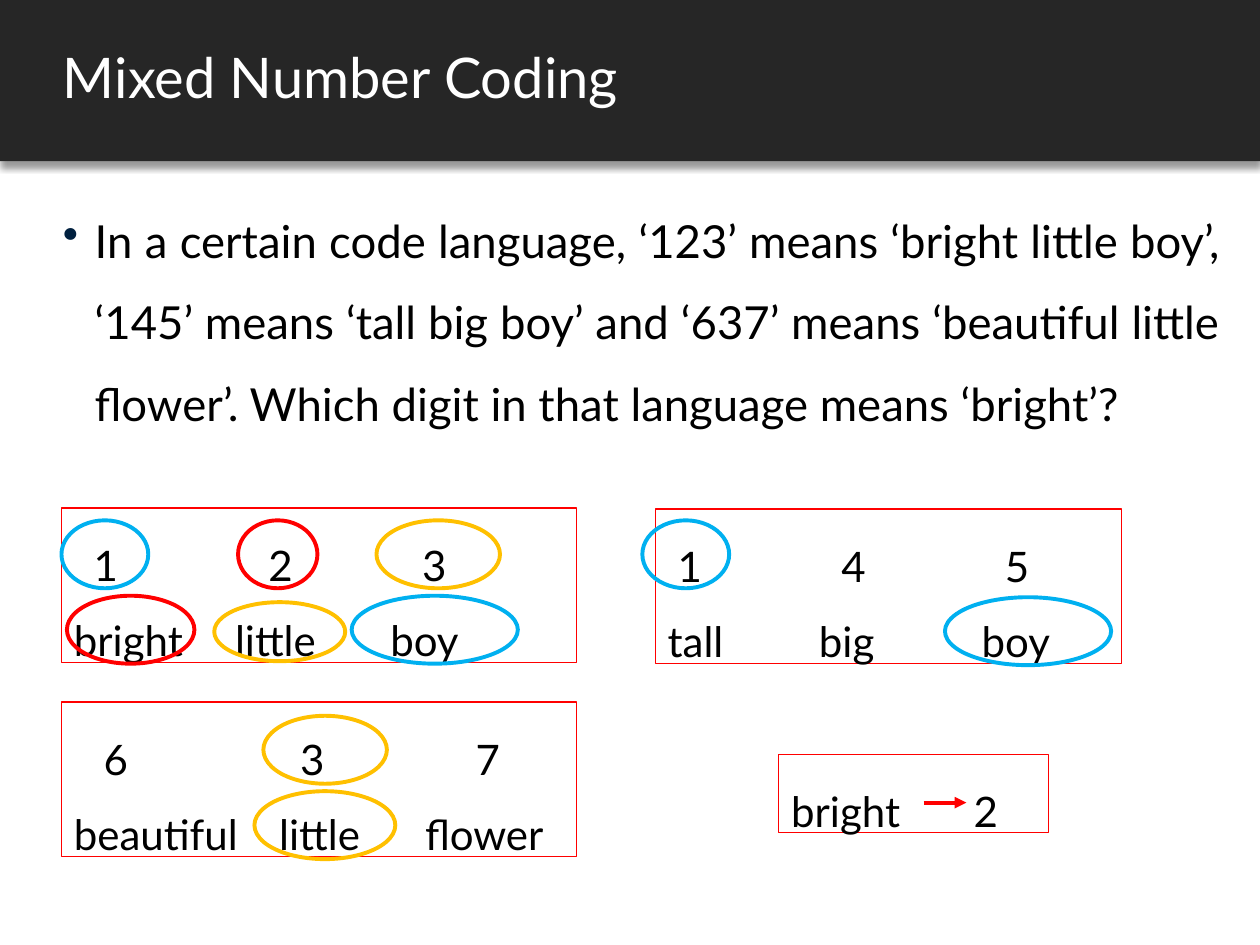
from lxml import etree
from pptx import Presentation
from pptx.dml.color import RGBColor
from pptx.enum.shapes import MSO_CONNECTOR, MSO_SHAPE
from pptx.enum.text import MSO_ANCHOR, PP_ALIGN
from pptx.oxml.ns import qn
from pptx.util import Cm, Pt

RECT, OVAL = MSO_SHAPE.RECTANGLE, MSO_SHAPE.OVAL
LINE = MSO_CONNECTOR.STRAIGHT
TOP, MIDDLE = MSO_ANCHOR.TOP, MSO_ANCHOR.MIDDLE
LEFT, JUSTIFY = PP_ALIGN.LEFT, PP_ALIGN.JUSTIFY

FONT = "Lato"
DARK, WHITE, BLACK, NAVY = "262626", "FFFFFF", "000000", "00203F"
RED, BLUE, GOLD = "FF0000", "00B0F0", "FFC000"


def color(code):
    return RGBColor.from_string(code)


def node(parent, tag, **attrs):
    item = etree.SubElement(parent, qn(tag))
    for key, value in attrs.items():
        item.set(key, str(value))
    return item


def write(frame, text, row=0, size=24, tint=BLACK, align=JUSTIFY,
          space=1.5, after=0, tabs=(), bullet=None, indent=0):
    """Fill paragraph number row of a text frame."""
    para = frame.paragraphs[0] if row == 0 else frame.add_paragraph()
    props = para._p.get_or_add_pPr()
    if bullet:
        props.set("marL", str(Cm(indent)))
        props.set("indent", str(-Cm(indent)))
        node(node(props, "a:buClr"), "a:srgbClr", val=bullet)
        node(props, "a:buChar", char="•")
    if tabs:
        stops = node(props, "a:tabLst")
        for stop in tabs:
            node(stops, "a:tab", pos=Cm(stop), algn="l")
    para.alignment = align
    para.line_spacing = space
    para.space_after = Pt(after)
    run = para.add_run()
    run.text = text
    run.font.name = FONT
    run.font.size = Pt(size)
    run.font.color.rgb = color(tint)


class Page:
    def __init__(self, slide):
        self.slide = slide
        self.thin, self.thick = 0.75, 2.25

    def shape(self, kind, x, y, w, h, fill=None, line=None, width=0):
        item = self.slide.shapes.add_shape(kind, Cm(x), Cm(y), Cm(w), Cm(h))
        item.shadow.inherit = False
        if fill:
            item.fill.solid()
            item.fill.fore_color.rgb = color(fill)
        else:
            item.fill.background()
        if line:
            item.line.color.rgb = color(line)
            item.line.width = Pt(width)
        else:
            item.line.fill.background()
        return item

    def band(self, w, h):
        bar = self.shape(RECT, 0, 0, w, h, fill=DARK)
        effects = bar._element.spPr.find(qn("a:effectLst"))
        shade = node(effects, "a:outerShdw", blurRad=Pt(4), dist=Pt(3),
                     dir=90 * 60000, algn="t", rotWithShape=0)
        node(node(shade, "a:srgbClr", val=BLACK), "a:alpha", val=40000)

    def label(self, text, x, y, w, h, anchor=TOP, **style):
        frame = self.slide.shapes.add_textbox(
            Cm(x), Cm(y), Cm(w), Cm(h)).text_frame
        frame.word_wrap = True
        frame.vertical_anchor = anchor
        write(frame, text, **style)

    def code(self, x, y, w, h, rows):
        box = self.shape(RECT, x, y, w, h, line=RED, width=self.thin)
        frame = box.text_frame
        frame.word_wrap = True
        frame.vertical_anchor = TOP
        for row, (text, tabs) in enumerate(rows):
            write(frame, text, row=row, tabs=tabs)

    def ring(self, tint, x, y, w, h=1.37):
        self.shape(OVAL, x, y, w, h, line=tint, width=self.thick)

    def arrow(self, x, y, end):
        item = self.slide.shapes.add_connector(
            LINE, Cm(x), Cm(y), Cm(end), Cm(y))
        item.line.color.rgb = color(RED)
        item.line.width = Pt(self.thick)
        node(item.line._get_or_add_ln(), "a:tailEnd", type="triangle")
        node(item._element.spPr, "a:effectLst")


def main():
    deck = Presentation()
    deck.slide_width, deck.slide_height = Cm(25.4), Cm(19.05)
    page = Page(deck.slides.add_slide(deck.slide_layouts[6]))

    # Header and question
    page.band(25.4, 3.25)
    page.label("Mixed Number Coding", 1.02, 0, 24.38, 3.25, anchor=MIDDLE,
               size=32, tint=WHITE, align=LEFT, space=0.9, after=6)
    page.label("In a certain code language, ‘123’ means ‘bright little boy’, "
               "‘145’ means ‘tall big boy’ and ‘637’ means ‘beautiful little "
               "flower’. Which digit in that language means ‘bright’?",
               1.02, 3.61, 23.85, 15.01, size=26, bullet=NAVY, indent=0.64)

    # Codes with their words, and the answer
    page.code(13.21, 10.26, 9.4, 3.12, [
        ("\t1\t4\t5", (0.2, 3.5, 6.8)),
        ("tall\tbig\tboy", (3.05, 6.33))])
    page.code(1.24, 10.24, 10.39, 3.12, [
        ("\t1\t2\t3", (0.4, 3.92, 7.02)),
        ("bright\tlittle\tboy", (3.25, 6.38))])
    page.code(15.7, 15.21, 5.44, 1.57, [("bright\t2", (3.68,))])
    page.code(1.24, 14.15, 10.39, 3.12, [
        ("\t6\t3\t7", (0.6, 4.56, 8.1)),
        ("beautiful\tlittle\tflower", (4.14, 7.08))])

    # Rings around matching digits and words
    for tint, *place in [
            (BLUE, 7.09, 12.01, 3.35), (BLUE, 1.24, 10.49, 1.75),
            (BLUE, 19.05, 12.04, 3.35), (BLUE, 12.95, 10.49, 1.75),
            (GOLD, 4.32, 12.14, 2.64, 1.19), (GOLD, 7.59, 10.49, 2.49),
            (GOLD, 5.31, 14.43, 2.49), (GOLD, 5.13, 15.95, 2.84),
            (RED, 1.35, 12.01, 2.57), (RED, 4.8, 10.49, 1.6)]:
        page.ring(tint, *place)

    # Arrow to the answer
    page.arrow(18.62, 16.18, 19.48)

    deck.save("out.pptx")


if __name__ == "__main__":
    main()
